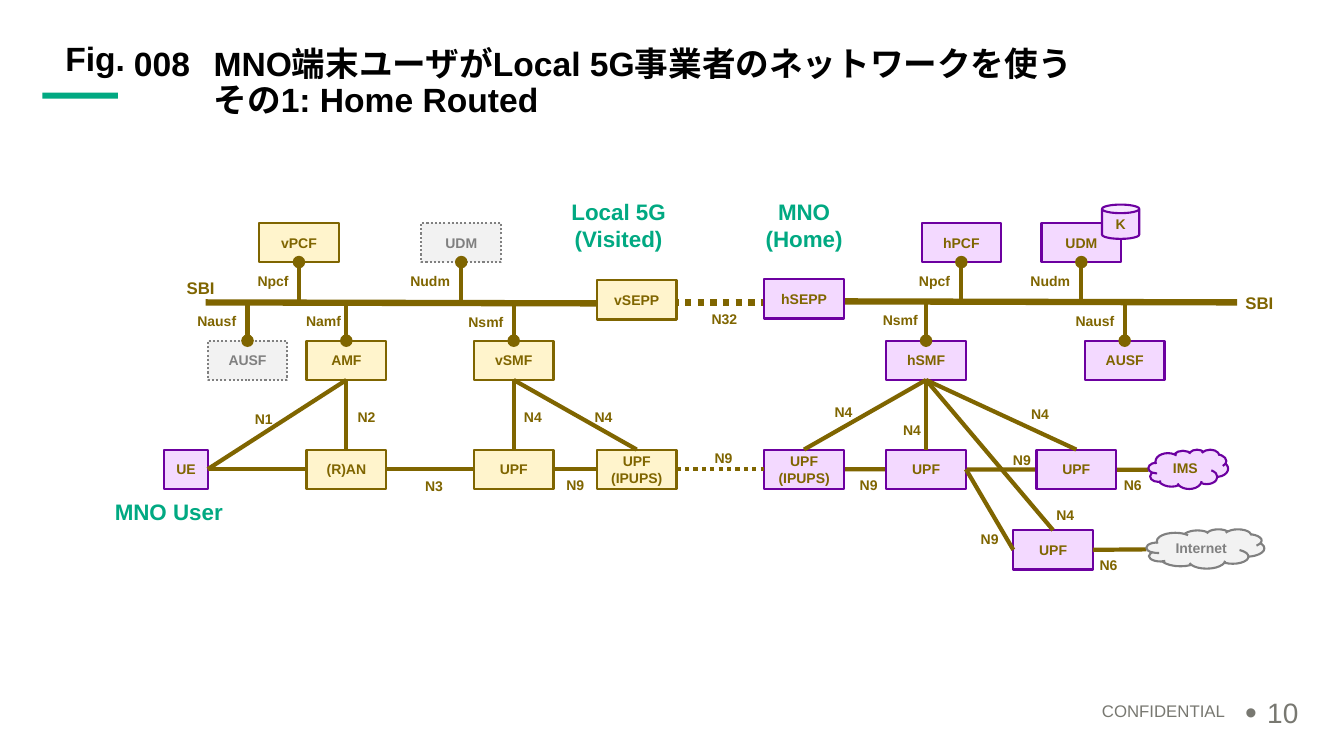
"""Build the slide on home-routed roaming between a local 5G network and an MNO."""
import lxml.etree
import pptx
import pptx.dml.color
import pptx.enum.dml
import pptx.enum.shapes
import pptx.enum.text
import pptx.oxml.ns
import pptx.util

RGB = pptx.dml.color.RGBColor
OLIVE, CREAM = RGB(0x7F, 0x65, 0x00), RGB(0xFF, 0xF4, 0xCC)
PURPLE, LILAC = RGB(0x6C, 0x00, 0xA0), RGB(0xF3, 0xD9, 0xFF)
GRAY, PALE = RGB(0x80, 0x80, 0x80), RGB(0xF2, 0xF2, 0xF2)
GREEN, BLACK, FOOTER = RGB(0x01, 0xA9, 0x82), RGB(0, 0, 0), RGB(0x78, 0x78, 0x71)

DOT = pptx.enum.dml.MSO_LINE.ROUND_DOT
SHAPE = pptx.enum.shapes.MSO_SHAPE
STRAIGHT = pptx.enum.shapes.MSO_CONNECTOR.STRAIGHT
LEFT, CENTER, RIGHT = (getattr(pptx.enum.text.PP_ALIGN, a) for a in ("LEFT", "CENTER", "RIGHT"))
TOP, MIDDLE = pptx.enum.text.MSO_ANCHOR.TOP, pptx.enum.text.MSO_ANCHOR.MIDDLE
qn = pptx.oxml.ns.qn

W, H = 79, 39
ROW_TOP, BUS, ROW_MID, ROW_LOW, ROW_NET = 221, 300, 338, 446, 526
LOCAL = (CREAM, OLIVE, OLIVE, None)
HOME = (LILAC, PURPLE, OLIVE, None)
UNUSED = (PALE, GRAY, GRAY, DOT)
OUTSIDE = (PALE, GRAY, GRAY, None)

BOXES = [
    ("UE", "UE", 163, ROW_LOW, HOME), ("RAN", "(R)AN", 304, ROW_LOW, LOCAL),
    ("AMF", "AMF", 304, ROW_MID, LOCAL), ("vUPF", "UPF", 470, ROW_LOW, LOCAL),
    ("vSMF", "vSMF", 470, ROW_MID, LOCAL), ("vAUSF", "AUSF", 206, ROW_MID, UNUSED),
    ("vPCF", "vPCF", 257, ROW_TOP, LOCAL), ("vUDM", "UDM", 418, ROW_TOP, UNUSED),
    ("hAUSF", "AUSF", 1076, ROW_MID, HOME), ("hPCF", "hPCF", 914, ROW_TOP, HOME),
    ("hUDM", "UDM", 1033, ROW_TOP, HOME), ("vSEPP", "vSEPP", 592, 278, LOCAL),
    ("hSEPP", "hSEPP", 758, 277, HOME), ("hUPF", "UPF", 879, ROW_LOW, HOME),
    ("hSMF", "hSMF", 879, ROW_MID, HOME), ("vIPUPS", "UPF\n(IPUPS)", 592, ROW_LOW, LOCAL),
    ("hIPUPS", "UPF\n(IPUPS)", 758, ROW_LOW, HOME), ("imsUPF", "UPF", 1028, ROW_LOW, HOME),
    ("netUPF", "UPF", 1005, ROW_NET, HOME),
]
TAPS = [("vAUSF", 0), ("AMF", 0), ("vSMF", 0), ("hAUSF", 0), ("hSMF", 0),
        ("vPCF", 2), ("vUDM", 2), ("hPCF", 2), ("hUDM", 2)]
LINKS = [
    ("UE", 3, "RAN", 1, None), ("AMF", 2, "RAN", 0, None), ("UE", 3, "AMF", 2, None),
    ("RAN", 3, "vUPF", 1, None), ("vSMF", 2, "vUPF", 0, None), ("vUPF", 3, "vIPUPS", 1, None),
    ("vIPUPS", 0, "vSMF", 2, None), ("vIPUPS", 3, "hIPUPS", 1, DOT),
    ("hSMF", 2, "hUPF", 0, None), ("hIPUPS", 0, "hSMF", 2, None),
    ("hSMF", 2, "imsUPF", 0, None), ("hSMF", 2, "netUPF", 0, None),
    ("hUPF", 3, "netUPF", 1, None),
]
REFERENCE_POINTS = [
    ("N1", 222, 396), ("N2", 324, 394), ("N3", 391, 463), ("N4", 489, 394),
    ("N32", 679, 297), ("N9", 678, 435), ("N4", 865, 407), ("N9", 531, 462),
    ("N9", 822, 462), ("N4", 559, 394), ("N4", 797, 389), ("N4", 1017, 491),
    ("N9", 942, 515), ("N4", 992, 391), ("N9", 974, 437), ("N6", 1060, 541),
    ("N6", 1084, 462),
]
SERVICES = [
    ("Npcf", 234, 259), ("Nausf", 182, 299), ("Namf", 286, 299), ("Nudm", 394, 259),
    ("Nsmf", 447, 300), ("Npcf", 890, 259), ("Nausf", 1053, 299), ("Nudm", 1009, 259),
    ("Nsmf", 858, 298),
]


def px(n):
    """Turn px into EMU."""
    return pptx.util.Emu(n * 9144)


def apply(target, values):
    """Set each attribute named in values."""
    for name, value in values.items():
        setattr(target, name, value)


def write(sp, text, size=10, color=OLIVE, bold=True, align=CENTER, anchor=MIDDLE, spacing=None):
    """Fill a shape with paragraphs split at line feeds."""
    tf = sp.text_frame
    apply(tf, {"word_wrap": True, "vertical_anchor": anchor})
    for i, line in enumerate(text.split("\n")):
        p = tf.add_paragraph() if i else tf.paragraphs[0]
        apply(p, {"text": line, "alignment": align, "line_spacing": spacing})
        for r in p.runs:
            apply(r.font, {"name": "Arial", "size": pptx.util.Pt(size), "bold": bold})
            r.font.color.rgb = color
    return tf


def add_text(s, text, x, y, w, h, **style):
    """Add a text box."""
    return write(s.shapes.add_textbox(px(x), px(y), px(w), px(h)), text, **style)


def add_node(s, text, x, y, style, w=W, h=H, kind=SHAPE.RECTANGLE):
    """Add an outlined network function."""
    fill, line, font, dash = style
    sp = s.shapes.add_shape(kind, px(x), px(y), px(w), px(h))
    sp.shadow.inherit = False
    sp.fill.solid()
    sp.fill.fore_color.rgb = fill
    sp.line.color.rgb = line
    apply(sp.line, {"width": pptx.util.Pt(1.5), "dash_style": dash})
    write(sp, text, color=font)
    return sp


def add_line(s, start=(0, 0), end=(0, 0), width=3, dash=None, dot=False):
    """Add a straight line, with a dot at its start if asked."""
    c = s.shapes.add_connector(STRAIGHT, *map(px, start + end))
    c.line.color.rgb = OLIVE
    apply(c.line, {"width": pptx.util.Pt(width), "dash_style": dash})
    spPr = c.element.spPr
    if dot:
        lxml.etree.SubElement(spPr.find(qn("a:ln")), qn("a:headEnd"), type="oval")
    lxml.etree.SubElement(spPr, qn("a:effectLst"))
    return c


def add_link(s, a, a_side, b, b_side, dash):
    """Join the sides of two boxes."""
    c = add_line(s, dash=dash)
    c.begin_connect(a, a_side)
    c.end_connect(b, b_side)


def add_tap(s, box, side):
    """Join a box to the service bus."""
    c = add_line(s, dot=True)
    c.begin_connect(box, side)
    apply(c, {"end_x": c.begin_x, "end_y": px(BUS)})


def add_frame(s):
    """Add the heading, accent bar and footer."""
    bar = s.shapes.add_shape(SHAPE.RECTANGLE, px(42), px(92), px(75), px(6))
    bar.shadow.inherit = False
    bar.fill.solid()
    bar.fill.fore_color.rgb = GREEN
    bar.line.fill.background()
    heading = {"size": 24, "color": BLACK, "anchor": TOP, "spacing": 0.9}
    tf = add_text(s, "Fig.", 45, 42, 79, 47, align=RIGHT, **heading)
    apply(tf, dict.fromkeys(("margin_left", "margin_top", "margin_right", "margin_bottom"), 0))
    add_text(s, "008", 123, 42, 79, 47, align=LEFT, **heading)
    add_text(s, "MNO端末ユーザがLocal 5G事業者のネットワークを使う\nその1: Home Routed",
             202, 42, 1090, 47, align=LEFT, **heading)
    footer = {"color": FOOTER, "bold": False, "spacing": 0.9}
    add_text(s, "CONFIDENTIAL", 775, 693, 450, 24, size=12, align=RIGHT, anchor=TOP, **footer)
    tf = add_text(s, "10", 1225, 689, 75, 40, size=20, align=LEFT, **footer)
    pPr = tf.paragraphs[0]._p.get_or_add_pPr()
    pPr.set("marL", str(px(22)))
    pPr.set("indent", str(px(-22)))
    lxml.etree.SubElement(pPr, qn("a:buSzPct"), val="120000")
    lxml.etree.SubElement(pPr, qn("a:buFont"), typeface="Arial")
    lxml.etree.SubElement(pPr, qn("a:buChar"), char="•")


def add_labels(s):
    """Add interface, bus and area labels."""
    for text, x, y in REFERENCE_POINTS:
        add_text(s, text, x, y, W, H)
    for text, x, y in SERVICES:
        add_text(s, text, x, y, 62, H, align=RIGHT)
    for x, y in ((168, 266), (1218, 281)):
        add_text(s, "SBI", x, y, 62, H, size=12)
    for text, x in (("Local 5G\n(Visited)", 549), ("MNO\n(Home)", 733)):
        add_text(s, text, x, 204, 129, H, size=16, color=GREEN)
    add_text(s, "MNO User", 104, 488, 137, H, size=16, color=GREEN, align=LEFT)


def main():
    """Build and save the slide."""
    prs = pptx.Presentation()
    apply(prs, {"slide_width": px(1333), "slide_height": px(750)})
    s = prs.slides.add_slide(prs.slide_layouts[6])
    add_frame(s)
    ims_line = add_line(s, (837, 465), (1139, 466))
    add_line(s, (667, BUS), (758, BUS), 4.5, DOT)
    add_line(s, (204, BUS), (594, BUS + 1), 4.5)
    add_line(s, (837, BUS - 1), (1227, BUS), 4.5)
    nodes = {key: add_node(s, text, x, y, style, w=43 if key == "UE" else W)
             for key, text, x, y, style in BOXES}
    ims_line.begin_connect(nodes["hIPUPS"], 3)
    for key, side in TAPS:
        add_tap(s, nodes[key], side)
    for a, a_side, b, b_side, dash in LINKS:
        add_link(s, nodes[a], a_side, nodes[b], b_side, dash)
    add_line(s, (1084, 545), (1137, 545)).begin_connect(nodes["netUPF"], 3)
    add_node(s, "IMS", 1139, ROW_LOW, HOME, kind=SHAPE.CLOUD)
    add_node(s, "Internet", 1137, 525, OUTSIDE, w=117, kind=SHAPE.CLOUD)
    add_node(s, "K", 1093, 203, HOME, w=37, h=34, kind=SHAPE.CAN)
    add_labels(s)
    prs.save("out.pptx")


if __name__ == "__main__":
    main()
